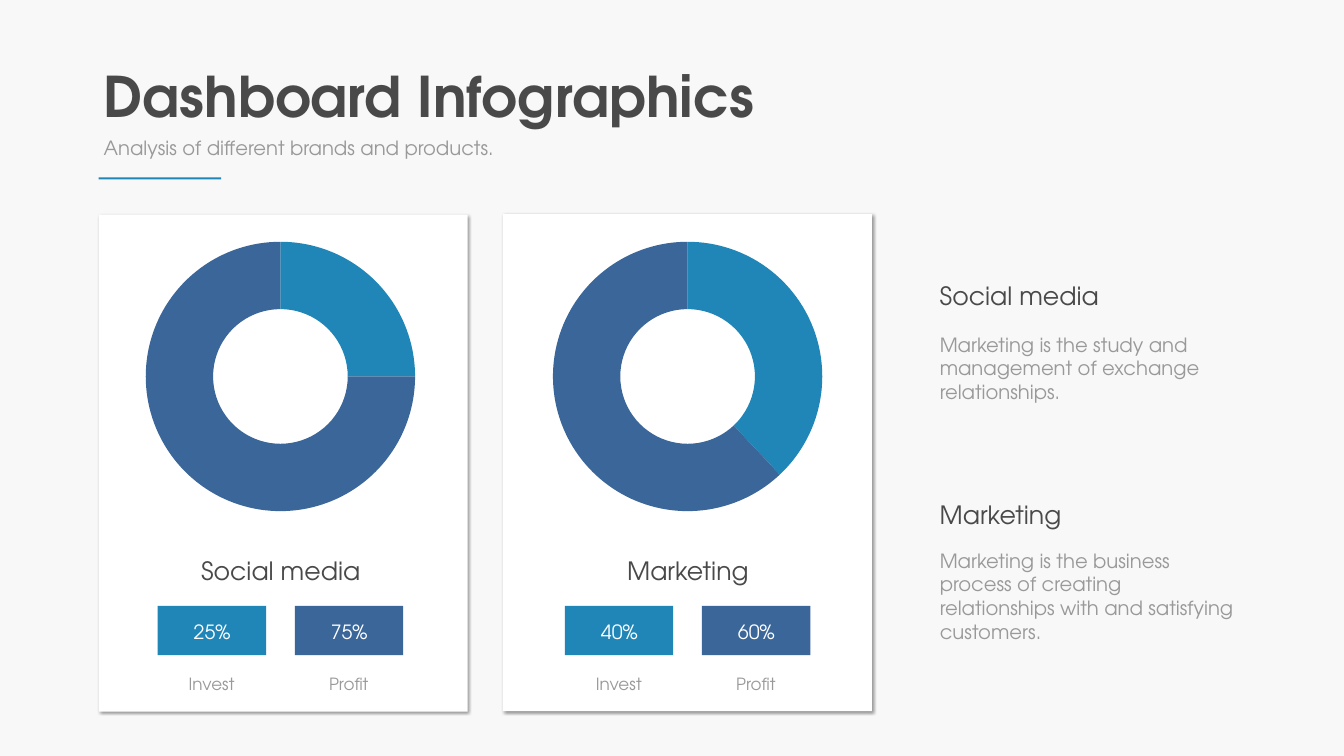
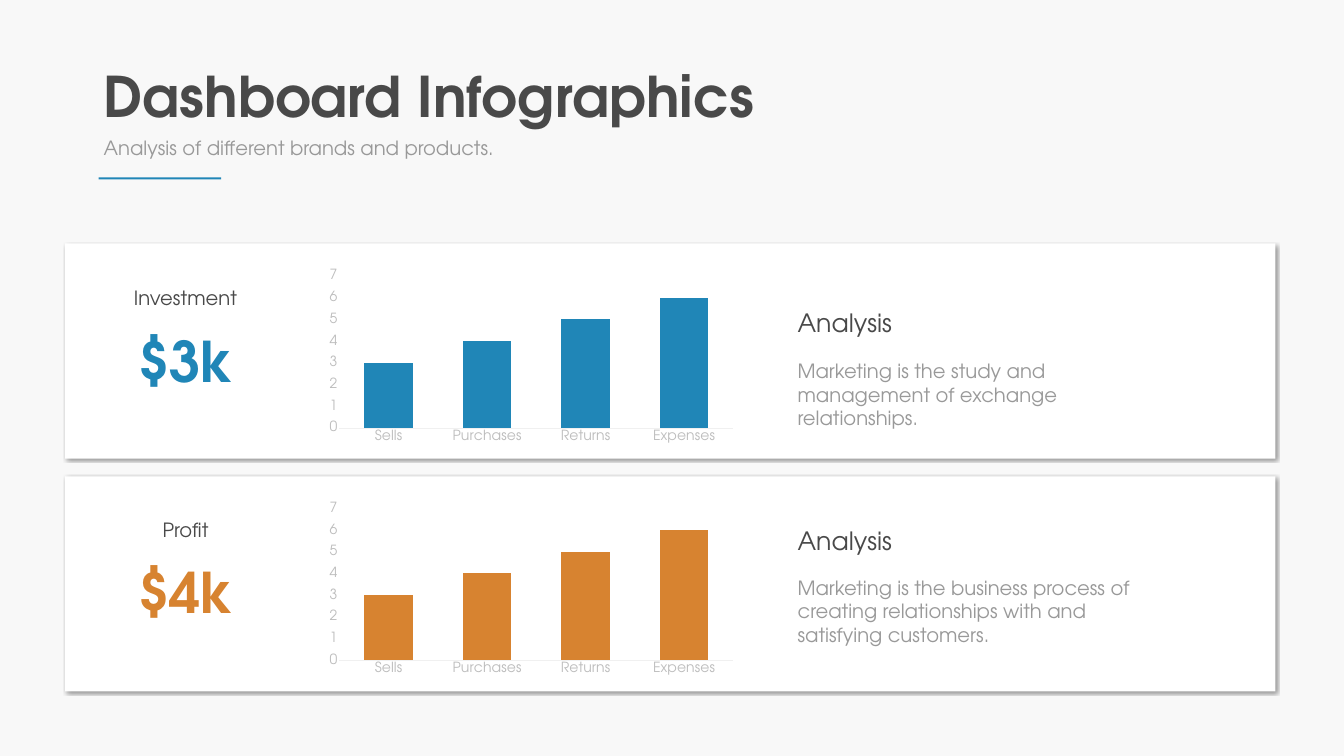
from dataclasses import dataclass

from lxml import etree
from pptx import Presentation
from pptx.chart.data import CategoryChartData
from pptx.dml.color import RGBColor
from pptx.enum.chart import XL_CHART_TYPE, XL_TICK_MARK
from pptx.enum.shapes import MSO_SHAPE
from pptx.enum.text import MSO_AUTO_SIZE, PP_ALIGN
from pptx.oxml import parse_xml
from pptx.oxml.ns import nsdecls, qn
from pptx.util import Inches, Pt

RECT = MSO_SHAPE.RECTANGLE
LEFT, MID = PP_ALIGN.LEFT, PP_ALIGN.CENTER
RING, BARS = XL_CHART_TYPE.DOUGHNUT, XL_CHART_TYPE.COLUMN_STACKED
NO_TICK = XL_TICK_MARK.NONE
GROW = MSO_AUTO_SIZE.SHAPE_TO_FIT_TEXT


@dataclass(frozen=True)
class Theme:
    """Colours, font and type sizes of the deck."""
    font: str = "TeX Gyre Adventor"
    back: str = "F8F8F8"
    white: str = "FFFFFF"
    dark: str = "494949"
    grey: str = "999999"
    pale: str = "BDBDBD"
    rule: str = "F0F0F0"
    blue: str = "2086B7"
    navy: str = "3A6699"
    gold: str = "D78330"
    big: int = 80
    head: int = 36
    body: int = 28
    note: int = 24
    tick: int = 20


def tint(text):
    """Return the colour for a hex string."""
    return RGBColor.from_string(text)


def apply(item, values):
    """Set each named attribute on an object."""
    for name, value in values.items():
        setattr(item, name, value)


class Deck:
    """Hold the theme and the current slide, and draw on it."""

    def __init__(self, theme):
        """Start an empty deck."""
        self.theme = theme
        self.show = Presentation()
        apply(self.show, {"slide_width": Inches(26.67), "slide_height": Inches(15)})

    def page(self, title, sub):
        """Add a slide with its heading."""
        look = self.theme
        self.slide = self.show.slides.add_slide(self.show.slide_layouts[6])
        fill = self.slide.background.fill
        fill.solid()
        fill.fore_color.rgb = tint(look.back)
        self.text(title, (1.96, 1.17, 13.27, 1.45), look.big, look.dark, bold=True, wrap=False)
        self.text(sub, (1.96, 2.65, 9.56, 0.57), look.body, look.grey)
        self.box((1.96, 3.52, 2.43, 0.04), look.blue)

    def style(self, font, size, color, bold=False):
        """Format a font."""
        apply(font, {"name": self.theme.font, "size": Pt(size), "bold": bold})
        font.color.rgb = tint(color)

    def text(self, words, spot, size, color, align=LEFT, bold=False, wrap=True):
        """Add a text box."""
        box = self.slide.shapes.add_textbox(*map(Inches, spot))
        apply(box.text_frame, {"text": words, "word_wrap": wrap, "auto_size": GROW})
        para = box.text_frame.paragraphs[0]
        para.alignment = align
        self.style(para.runs[0].font, size, color, bold)
        return box

    def box(self, spot, color):
        """Add a plain filled rectangle."""
        box = self.slide.shapes.add_shape(RECT, *map(Inches, spot))
        box.shadow.inherit = False
        box.fill.solid()
        box.fill.fore_color.rgb = tint(color)
        box.line.fill.background()
        return box

    def card(self, spot):
        """Add a white card with a soft shadow."""
        glow = self.box(spot, self.theme.white).element.spPr.find(qn("a:effectLst"))
        glow.append(parse_xml(
            f'<a:outerShdw {nsdecls("a")} blurRad="{Pt(4)}" dist="{Pt(3)}" dir="2700000" '
            'algn="tl" rotWithShape="0"><a:srgbClr val="000000"><a:alpha val="40000"/>'
            '</a:srgbClr></a:outerShdw>'))

    def note(self, head, body, left, tops, wide, high):
        """Add a heading with a paragraph under it."""
        look = self.theme
        self.text(head, (left, tops[0], 4.84, 0.71), look.head, look.dark)
        self.text(body, (left, tops[1], wide, high), look.body, look.grey)

    def chart(self, kind, spot, names, values, area):
        """Add a chart with a fixed plot area."""
        data = CategoryChartData()
        data.categories = names
        data.add_series("Series 1", values)
        chart = self.slide.shapes.add_chart(kind, *map(Inches, spot), data).chart
        apply(chart, {"has_title": False, "has_legend": False})
        self.style(chart.font, self.theme.tick, self.theme.grey)
        plot = chart.element.find(".//" + qn("c:plotArea"))
        for old in plot.findall(qn("c:layout")):
            plot.remove(old)
        frame = etree.Element(qn("c:layout"))
        inner = etree.SubElement(frame, qn("c:manualLayout"))
        marks = {"layoutTarget": "inner", "xMode": "edge", "yMode": "edge"}
        for name, value in (marks | dict(zip("xywh", area))).items():
            etree.SubElement(inner, qn("c:" + name), val=str(value))
        plot.insert(0, frame)
        return chart

    def ring(self, spot, values, colors):
        """Add a doughnut chart."""
        chart = self.chart(RING, spot, ("1", "2"), values, (0.04, 0.025, 0.92, 0.95))
        plot = chart.plots[0]
        plot.vary_by_categories = True
        chart.element.find(".//" + qn("c:holeSize")).set("val", "65")
        for num, color in enumerate(colors):
            look = plot.series[0].points[num].format
            look.fill.solid()
            look.fill.fore_color.rgb = tint(color)
            look.line.fill.background()

    def bars(self, spot, names, values, color):
        """Add a column chart."""
        chart = self.chart(BARS, spot, names, values, (0.045, 0.047, 0.935, 0.847))
        plot = chart.plots[0]
        apply(plot, {"gap_width": 103, "overlap": 100, "vary_by_categories": False})
        fill = plot.series[0].format.fill
        fill.solid()
        fill.fore_color.rgb = tint(color)
        apply(chart.value_axis, {"minimum_scale": 0, "maximum_scale": 7, "major_unit": 1})
        for axis in (chart.category_axis, chart.value_axis):
            apply(axis, {"major_tick_mark": NO_TICK, "minor_tick_mark": NO_TICK,
                         "has_major_gridlines": False})
            self.style(axis.tick_labels.font, self.theme.tick, self.theme.pale)
        chart.value_axis.format.line.fill.background()
        line = chart.category_axis.format.line
        line.width = Pt(0.75)
        line.color.rgb = tint(self.theme.rule)

    def share(self, name, left, rates, values):
        """Add a heading, a doughnut and its two labelled tiles."""
        look = self.theme
        colors = (look.blue, look.navy)
        self.ring((left, 4.65, 5.81, 5.64), values, colors)
        self.text(name, (left + 0.49, 10.96, 4.84, 0.71), look.head, look.dark, MID)
        for num, (rate, label) in enumerate(zip(rates, ("Invest", "Profit"))):
            x = left + 0.47 + 2.72 * num
            self.box((x, 12.02, 2.15, 0.98), colors[num])
            self.text(rate, (x + 0.32, 12.25, 1.52, 0.57), look.body, look.white, MID)
            self.text(label, (x, 13.31, 2.14, 0.5), look.note, look.grey, MID)

    def figure(self, label, value, top, color):
        """Add a label grouped with a large figure."""
        look = self.theme
        parts = [
            self.text(label, (2.02, top, 3.32, 0.57), look.body, look.dark, MID),
            self.text(value, (2.63, top + 0.8, 2.11, 1.45), look.big, color, MID, True, False),
        ]
        self.slide.shapes.add_group_shape(parts)


def main():
    """Build both slides."""
    look = Theme()
    deck = Deck(look)
    heading = ("Dashboard Infographics", "Analysis of different brands and products.")
    study = "Marketing is the study and management of exchange relationships."
    trade = ("Marketing is the business process of creating relationships "
             "with and satisfying customers.")

    deck.page(*heading)
    shares = (
        ("Social media", ("25%", "75%"), (25, 75), study, (5.52, 6.55), 1.51),
        ("Marketing", ("40%", "60%"), (38, 62), trade, (9.85, 10.84), 1.99),
    )
    for num, (name, rates, values, body, tops, high) in enumerate(shares):
        deck.card((1.96 + 8.02 * num, 4.26 - 0.01 * num, 7.32, 9.86))
        deck.share(name, 2.66 + 8.08 * num, rates, values)
        deck.note(name, body, 18.55, tops, 6.08, high)

    deck.page(*heading)
    names = ("Sells", "Purchases", "Returns", "Expenses")
    rows = (
        ("Investment", "$3k", look.blue, study, (6.04, 7.08)),
        ("Profit", "$4k", look.gold, trade, (10.37, 11.37)),
    )
    for num, (label, value, color, body, tops) in enumerate(rows):
        deck.card((1.29, 4.83 + 4.62 * num, 24.02, 4.27))
        deck.figure(label, value, 5.62 + 4.6 * num, color)
        deck.bars((6.36, 5.31 + 4.61 * num, 8.36, 3.56), names, (3, 4, 5, 6), color)
        deck.note("Analysis", body, 15.73, tops, 7.47, 1.51)

    deck.show.save("out.pptx")


if __name__ == "__main__":
    main()
